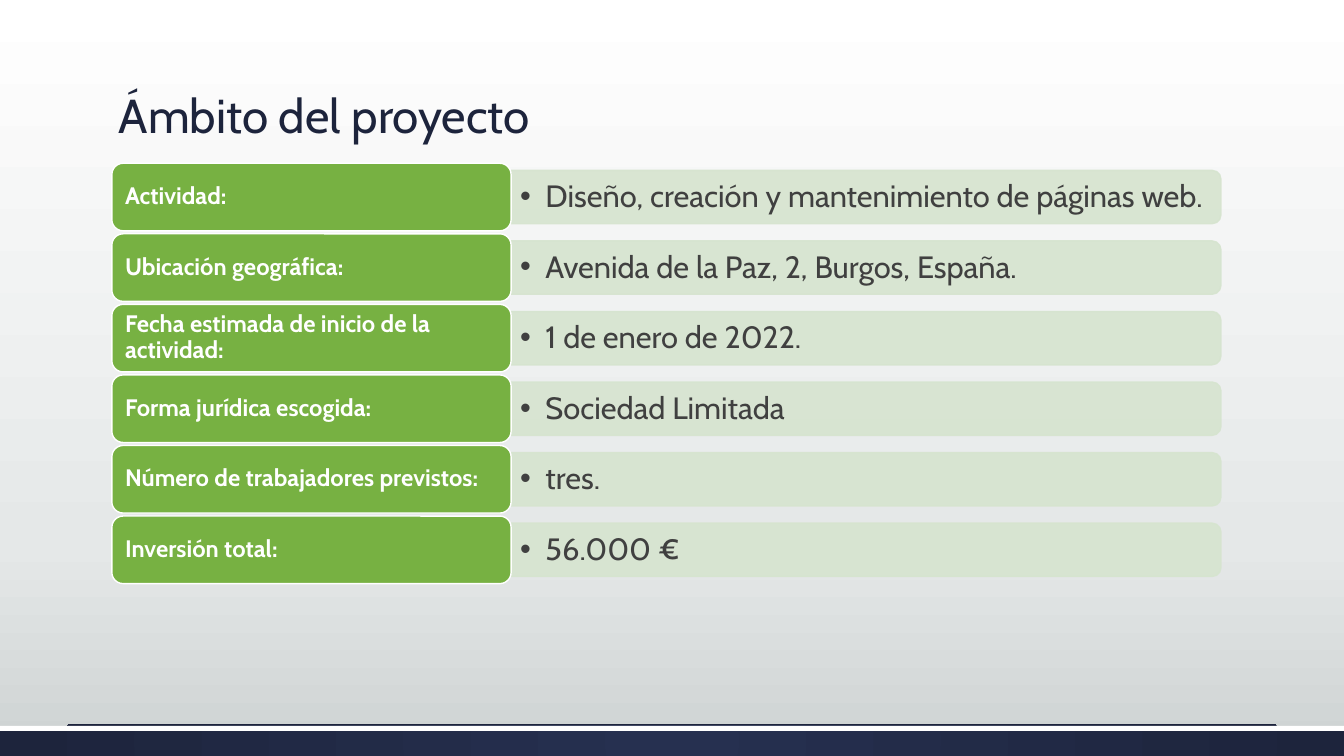
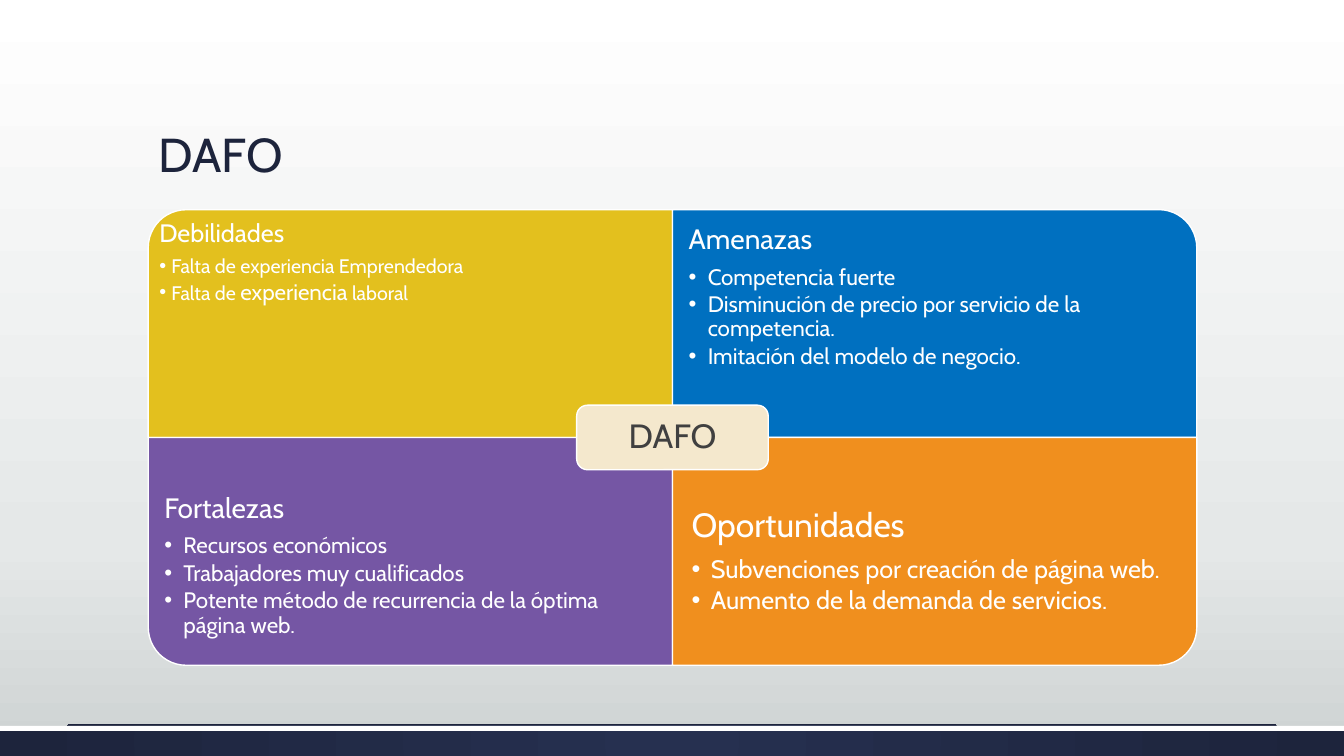
import copy

import pptx
import pptx.dml.color
import pptx.enum.shapes
import pptx.enum.text
import pptx.oxml
import pptx.oxml.ns
import pptx.util

Inch = pptx.util.Inches
Pt = pptx.util.Pt
Shape = pptx.enum.shapes.MSO_SHAPE
Anchor = pptx.enum.text.MSO_ANCHOR
Align = pptx.enum.text.PP_ALIGN

# Content
FACTS = [
    ("Actividad:", "Diseño, creación y mantenimiento de páginas web."),
    ("Ubicación geográfica:", "Avenida de la Paz, 2, Burgos, España."),
    ("Fecha estimada de inicio de la actividad:", "1 de enero de 2022."),
    ("Forma jurídica escogida:", "Sociedad Limitada"),
    ("Número de trabajadores previstos:", "tres."),
    ("Inversión total:", "56.000 €"),
]
# Each quadrant: column, row, turn, colour, (side pad, top pad), hang,
# head and its size, list size, list; a list item is text or sized runs
SWOT = [
    (0, 0, 270, "yellow", (0.11, 0.11), 0.12, "Debilidades", 18, 14,
     ["Falta de experiencia Emprendedora",
      [("Falta de ", 14), ("experiencia", 16), (" laboral", 14)]]),
    (1, 0, 0, "blue", (0.16, 0.16), 0.19, "Amenazas", 20, 16,
     ["Competencia fuerte",
      "Disminución de precio por servicio de la competencia.",
      "Imitación del modelo de negocio."]),
    (0, 1, 180, "purple", (0.16, 0), 0.19, "Fortalezas", 20, 16,
     ["Recursos económicos", "Trabajadores muy cualificados",
      "Potente método de recurrencia de la óptima página web."]),
    (1, 1, 90, "orange", (0.19, 0.14), 0.19, "Oportunidades", 24, 18,
     ["Subvenciones por creación de página web.",
      "Aumento de la demanda de servicios."]),
]

# Shared look
FONT = "Cabin"
WIDE, HIGH = 13.33, 7.5
HEX = {
    "navy": "1D243C", "mid": "263050", "white": "FFFFFF", "text": "404040",
    "mist": "E5E8E8", "gray": "CDD2D2", "green": "77B142", "pale": "D6E4CF",
    "yellow": "E3C01E", "blue": "0070C0", "purple": "7556A4",
    "orange": "F08F1E", "cream": "F4E8CD",
}


def tint(name):
    return pptx.dml.color.RGBColor.from_string(HEX[name])


def style(thing, **form):
    for key, value in form.items():
        setattr(thing, key, value)


def node(tag, **attrs):
    item = pptx.oxml.parse_xml(f"<a:{tag} {pptx.oxml.ns.nsdecls('a')}/>")
    for key, value in attrs.items():
        item.set(key, str(value))
    return item


def blend(fill, root, stops, round_=False):
    """Fill with colour stops, downward or round the centre."""
    fill.gradient()
    items = root.xpath(".//a:gsLst")[0]
    while len(items) < len(stops):
        items.append(copy.deepcopy(items[-1]))
    for stop, (place, name) in zip(fill.gradient_stops, stops):
        stop.position = place
        stop.color.rgb = tint(name)
    if not round_:
        fill.gradient_angle = 270
        return
    ring = node("path", path="circle")
    ring.append(node("fillToRect", l=50000, t=50000, r=50000, b=50000))
    items.getparent().replace(items.getnext(), ring)


def block(slide, kind, area, fill, line=None, turn=0):
    """Add a shape that covers the area after it is turned."""
    left, top, wide, high = area
    if turn % 180:
        left, top = left + (wide - high) / 2, top + (high - wide) / 2
        wide, high = high, wide
    shape = slide.shapes.add_shape(kind, *map(Inch, (left, top, wide, high)))
    shape.shadow.inherit = False
    shape.rotation = turn
    shape.fill.solid()
    shape.fill.fore_color.rgb = tint(fill)
    if line:
        shape.line.color.rgb = tint(line)
        shape.line.width = Pt(1)
    else:
        shape.line.fill.background()
    return shape


def frame(shape, pads, anchor=Anchor.MIDDLE):
    side, top = map(Inch, pads)
    text = shape.text_frame
    style(text, word_wrap=True, vertical_anchor=anchor,
          auto_size=pptx.enum.text.MSO_AUTO_SIZE.NONE,
          margin_left=side, margin_right=side, margin_top=top,
          margin_bottom=top)
    return text


def write(para, words, size, color, after=0.0, bold=False,
          align=Align.LEFT, hang=0.0):
    """Fill a paragraph; hang sets a bullet's indent."""
    style(para, alignment=align, line_spacing=0.9,
          space_before=Pt(0), space_after=Pt(size * after))
    runs = [(words, size)] if isinstance(words, str) else words
    for part, height in runs:
        run = para.add_run()
        run.text = part
        style(run.font, name=FONT, size=Pt(height), bold=bold)
        run.font.color.rgb = tint(color)
    if hang:
        props = para._p.get_or_add_pPr()
        props.set("marL", str(Inch(hang)))
        props.set("indent", str(-Inch(hang)))
        props.append(node("buFont", typeface="Arial"))
        props.append(node("buChar", char="•"))


def head(slide, words, left, top):
    title = slide.shapes.title
    style(title, left=Inch(left), top=Inch(top), width=Inch(10.4),
          height=Inch(1.35))
    text = frame(title, (0.1, 0.05), Anchor.BOTTOM)
    write(text.paragraphs[0], words, 34, "navy")


def theme(deck, slide):
    """Give the master its backdrop, foot bands and rule."""
    master = deck.slide_master
    blend(master.background.fill, master.element,
          [(0, "white"), (0.72, "mist"), (1, "gray")])
    band = block(slide, Shape.RECTANGLE, (0, 7.2, WIDE, 0.3), "navy")
    blend(band.fill, band.element, [(0, "mid"), (1, "navy")], True)
    strip = block(slide, Shape.RECTANGLE, (0, 7.2, WIDE, 0.05), "white")
    rule = slide.shapes.add_connector(
        pptx.enum.shapes.MSO_CONNECTOR.STRAIGHT,
        *map(Inch, (0.67, 7.19, WIDE - 0.67, 7.19)))
    rule.line.color.rgb = tint("navy")
    rule.line.width = Pt(0.5)
    rule.element.spPr.append(node("effectLst"))
    for spot, shape in enumerate((band, strip, rule)):
        shape.element.xpath(".//p:cNvPr")[0].set("id", str(90 + spot))
        master.shapes.element.insert(2 + spot, shape.element)


def facts(slide):
    head(slide, "Ámbito del proyecto", 1.08, 0.13)
    left, top, pitch, high = 1.11, 1.62, 0.7, 0.67
    label, value = 3.96, 7.04
    for row, (name, words) in enumerate(FACTS):
        y = top + row * pitch
        # Pale value bar, its right corners round
        bar = block(slide, Shape.ROUND_2_SAME_RECTANGLE,
                    (left + label, y + 0.07, value, 0.53),
                    "pale", "pale", 90)
        for color in bar.element.xpath("p:spPr//a:srgbClr"):
            color.append(node("alpha", val=90000))
        note = slide.shapes.add_textbox(
            *map(Inch, (left + label, y + 0.1, value, 0.48)))
        write(frame(note, (0.09, 0.05)).paragraphs[0], words, 22, "text",
              hang=0.25)
        # Green label
        tag = block(slide, Shape.ROUNDED_RECTANGLE, (left, y, label, high),
                    "green", "white")
        write(frame(tag, (0.1, 0.07)).paragraphs[0], name, 17, "white",
              bold=True)


def swot(slide):
    head(slide, "DAFO", 1.47, 0.51)
    left, top, wide, high = 1.47, 2.08, 5.2, 2.26
    share = high * 0.75
    for col, row, turn, fill, pads, hang, name, size, small, items in SWOT:
        x, y = left + col * wide, top + row * high
        block(slide, Shape.ROUND_1_RECTANGLE, (x, y, wide, high), fill,
              "white", turn)
        note = slide.shapes.add_textbox(
            *map(Inch, (x, y + row * (high - share), wide, share)))
        text = frame(note, pads, Anchor.TOP)
        write(text.paragraphs[0], name, size, "white", 0.35)
        for item in items:
            write(text.add_paragraph(), item, small, "white", 0.15,
                  hang=hang)
    # Badge over the centre of the grid
    across, down = 1.9, 0.64
    badge = block(slide, Shape.ROUNDED_RECTANGLE,
                  (left + wide - across / 2, top + high - down / 2,
                   across, down), "cream", "white")
    write(frame(badge, (0.1, 0.1)).paragraphs[0], "DAFO", 24, "text",
          align=Align.CENTER)


def main():
    deck = pptx.Presentation()
    style(deck, slide_width=Inch(WIDE), slide_height=Inch(HIGH))
    layout = deck.slide_layouts.get_by_name("Title Only")
    first, second = (deck.slides.add_slide(layout) for _ in range(2))
    theme(deck, first)
    facts(first)
    swot(second)
    deck.save("out.pptx")


if __name__ == "__main__":
    main()
